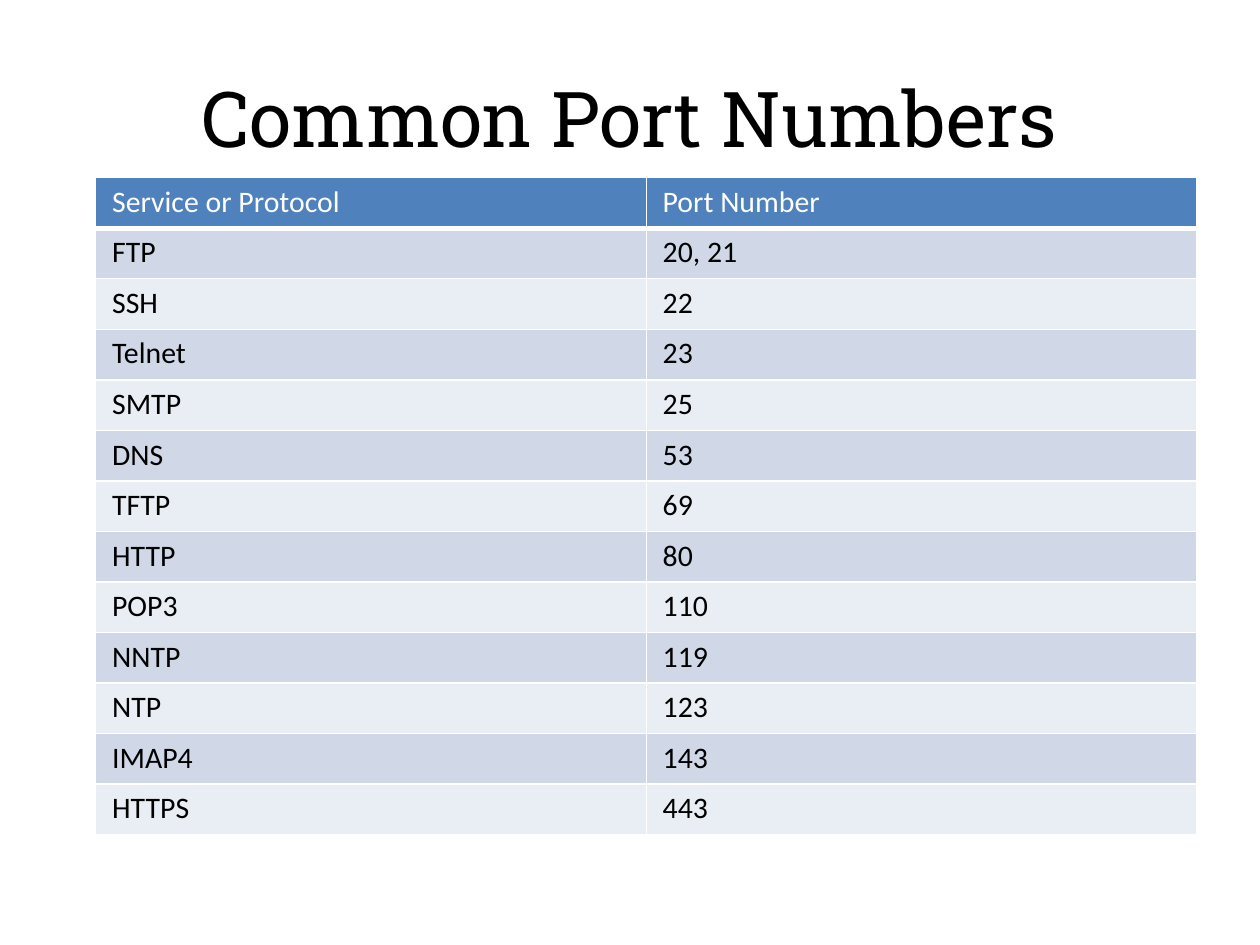
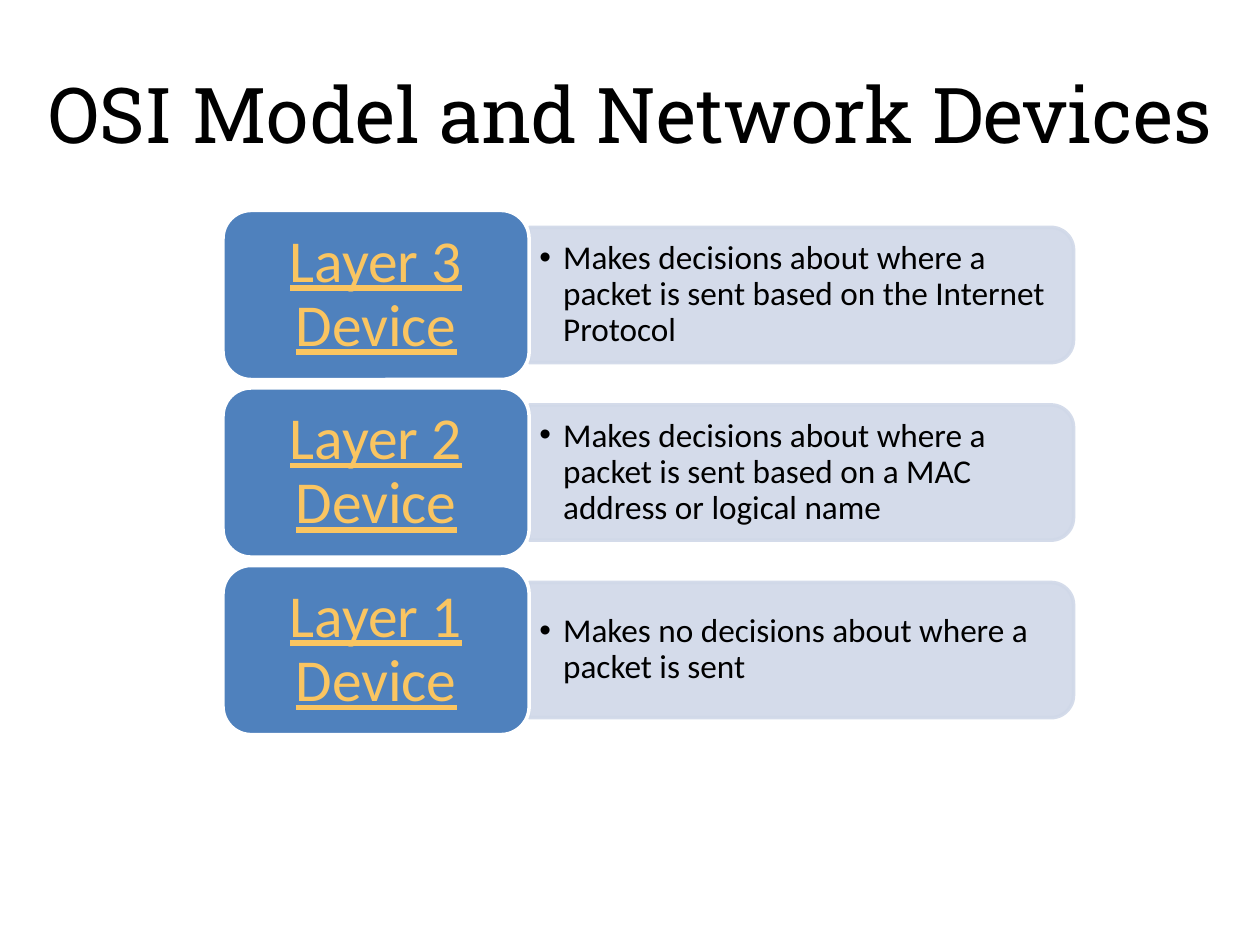
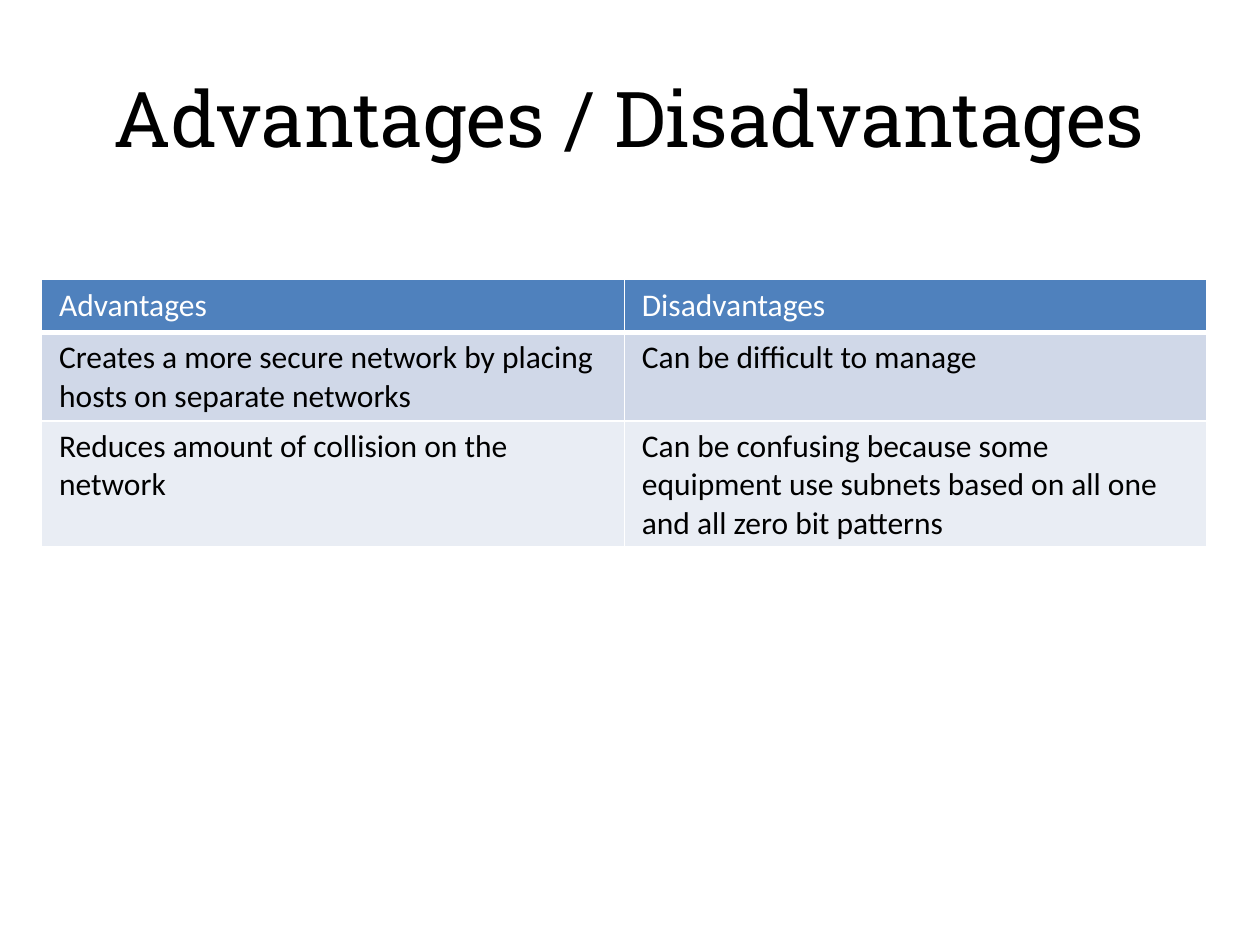
from dataclasses import dataclass

from lxml import etree
from pptx import Presentation
from pptx import util as u
from pptx.dml.color import RGBColor
from pptx.enum import shapes, text
from pptx.oxml import ns

# Shared style
CELL = 0.5  # inches per grid cell: the slide is 20 columns by 15 rows
BLACK, WHITE = "000000", "FFFFFF"
BLUE, PALE, PALER, GOLD = "4F81BD", "D0D8E8", "E9EDF4", "FAC561"
TITLE_FONT, BODY_FONT = "Roboto Slab", "Calibri"


@dataclass
class Box:
    """A region in grid columns and rows."""
    x: float
    y: float
    w: float
    h: float

    def share(self, x, y, w, h):
        """A box given as shares of this one."""
        return Box(self.x + x * self.w, self.y + y * self.h, w * self.w, h * self.h)

    def turned(self):
        """The frame that covers this box after a quarter turn."""
        return Box(self.x + (self.w - self.h) / 2, self.y + (self.h - self.w) / 2, self.h, self.w)

    def emu(self):
        return [u.Inches(v * CELL) for v in (self.x, self.y, self.w, self.h)]


TITLE_BOX = Box(1, 0.6, 18, 2.5)


def rgb(color):
    return RGBColor.from_string(color)


def sub(parent, tag, **attrs):
    return etree.SubElement(parent, ns.qn(tag), attrs)


def write(tf, words, size, color, font=BODY_FONT, align=None, inset=(0.1, 0.05), underline=None):
    """Fill a middle-anchored text frame with one paragraph and return it."""
    tf.word_wrap = True
    tf.vertical_anchor = text.MSO_ANCHOR.MIDDLE
    tf.margin_left = tf.margin_right = u.Inches(inset[0])
    tf.margin_top = tf.margin_bottom = u.Inches(inset[1])
    tf.text = words
    p = tf.paragraphs[0]
    p.alignment = align
    style(p, size, color, font, underline)
    return p


def style(p, size, color, font=BODY_FONT, underline=None):
    for r in p.runs:
        r.font.size, r.font.name, r.font.underline = u.Pt(size), font, underline
        r.font.color.rgb = rgb(color)


def add_panel(s, kind, box, fill, line):
    sp = s.shapes.add_shape(kind, *box.emu())
    sp.shadow.inherit = False
    sp.fill.solid()
    sp.fill.fore_color.rgb = rgb(fill)
    sp.line.color.rgb = rgb(line)
    sp.line.width = u.Pt(2)
    return sp


def add_slide(prs, title, box=TITLE_BOX):
    s = prs.slides.add_slide(prs.slide_layouts[6])
    tb = s.shapes.add_textbox(*box.emu())
    write(tb.text_frame, title, 44, BLACK, TITLE_FONT, text.PP_ALIGN.CENTER)
    return s


# Tables
def add_borders(cell, bottom):
    tc_pr = cell._tc.get_or_add_tcPr()
    for i, (side, width) in enumerate((("L", 1), ("R", 1), ("T", 1), ("B", bottom))):
        ln = etree.Element(ns.qn(f"a:ln{side}"), w=str(u.Pt(width)))
        sub(sub(ln, "a:solidFill"), "a:srgbClr", val=WHITE)
        tc_pr.insert(i, ln)


def banded_table(s, box, rows, size, inset, weights=None):
    """A header row over alternating bands; weights share out the height."""
    weights = weights or [1] * len(rows)
    n_cols = len(rows[0])
    x, y, w, h = box.emu()
    table = s.shapes.add_table(len(rows), n_cols, x, y, w, h).table
    table.first_row = table.horz_banding = False
    for col in table.columns:
        col.width = w // n_cols
    for i, words in enumerate(rows):
        table.rows[i].height = int(h * weights[i] / sum(weights))
        fill = BLUE if i == 0 else PALE if i % 2 else PALER
        for cell, word in zip(table.rows[i].cells, words):
            cell.text = word
            cell.margin_left = cell.margin_right = u.Inches(inset)
            cell.margin_top = cell.margin_bottom = u.Inches(0.05)
            cell.fill.solid()
            cell.fill.fore_color.rgb = rgb(fill)
            add_borders(cell, 1 if i else 3)
            style(cell.text_frame.paragraphs[0], size, BLACK if i else WHITE)


# Layer list
def add_bullet(p, indent):
    p_pr = p._p.get_or_add_pPr()
    p_pr.set("marL", str(u.Inches(indent)))
    p_pr.set("indent", str(-u.Inches(indent)))
    sub(p_pr, "a:buFont", typeface="Arial")
    sub(p_pr, "a:buChar", char="•")


def layer_row(s, box, name, detail):
    # Tab behind, rounded on its right side
    tab = box.share(0.36, 0.1, 0.64, 0.8)
    sp = add_panel(s, shapes.MSO_SHAPE.ROUND_2_SAME_RECTANGLE, tab.turned(), PALE, PALE)
    sp.rotation = 90
    for clr in sp._element.spPr.iter(ns.qn("a:srgbClr")):
        sub(clr, "a:alpha", val="90000")
    tb = s.shapes.add_textbox(*tab.share(0, 0.05, 0.99, 0.9).emu())
    p = write(tb.text_frame, detail, 19, BLACK, inset=(0.08, 0.04))
    p.line_spacing = 0.9
    add_bullet(p, 0.19)
    # Name in front
    sp = add_panel(s, shapes.MSO_SHAPE.ROUNDED_RECTANGLE, box.share(0, 0, 0.36, 1), BLUE, WHITE)
    p = write(sp.text_frame, name, 34, GOLD, align=text.PP_ALIGN.CENTER,
              inset=(0.14, 0.07), underline=True)
    p.line_spacing = 0.9


def layer_list(s, box, layers, gap=0.05):
    """Equal rows; the gap is a share of a row's height."""
    n = len(layers)
    row_h = 1 / (n + (n - 1) * gap)
    for i, (name, detail) in enumerate(layers):
        layer_row(s, box.share(0, i * row_h * (1 + gap), 1, row_h), name, detail)


PORTS = [
    ("Service or Protocol", "Port Number"),
    ("FTP", "20, 21"), ("SSH", "22"), ("Telnet", "23"), ("SMTP", "25"),
    ("DNS", "53"), ("TFTP", "69"), ("HTTP", "80"), ("POP3", "110"),
    ("NNTP", "119"), ("NTP", "123"), ("IMAP4", "143"), ("HTTPS", "443"),
]
LAYERS = [
    ("Layer 3 Device",
     "Makes decisions about where a packet is sent based on the Internet Protocol"),
    ("Layer 2 Device",
     "Makes decisions about where a packet is sent based on a MAC address or logical name"),
    ("Layer 1 Device", "Makes no decisions about where a packet is sent"),
]
SUBNETTING = [
    ("Advantages", "Disadvantages"),
    ("Creates a more secure network by placing hosts on separate networks",
     "Can be difficult to manage"),
    ("Reduces amount of collision on the network",
     "Can be confusing because some equipment use subnets based on all one "
     "and all zero bit patterns"),
]


def main():
    prs = Presentation()
    prs.slide_width, prs.slide_height = u.Inches(20 * CELL), u.Inches(15 * CELL)

    s = add_slide(prs, "Common Port Numbers")
    banded_table(s, Box(1.52, 2.82, 17.48, 10.44), PORTS, 17, 0.13)

    s = add_slide(prs, "OSI Model and Network Devices", Box(0.44, 0.54, 19.16, 2.5))
    layer_list(s, Box(3.54, 3.34, 13.5, 8.32), LAYERS)

    s = add_slide(prs, "Advantages / Disadvantages")
    banded_table(s, Box(0.66, 4.44, 18.5, 4.24), SUBNETTING, 18, 0.14, (0.42, 0.7, 1))

    prs.save("out.pptx")


if __name__ == "__main__":
    main()
